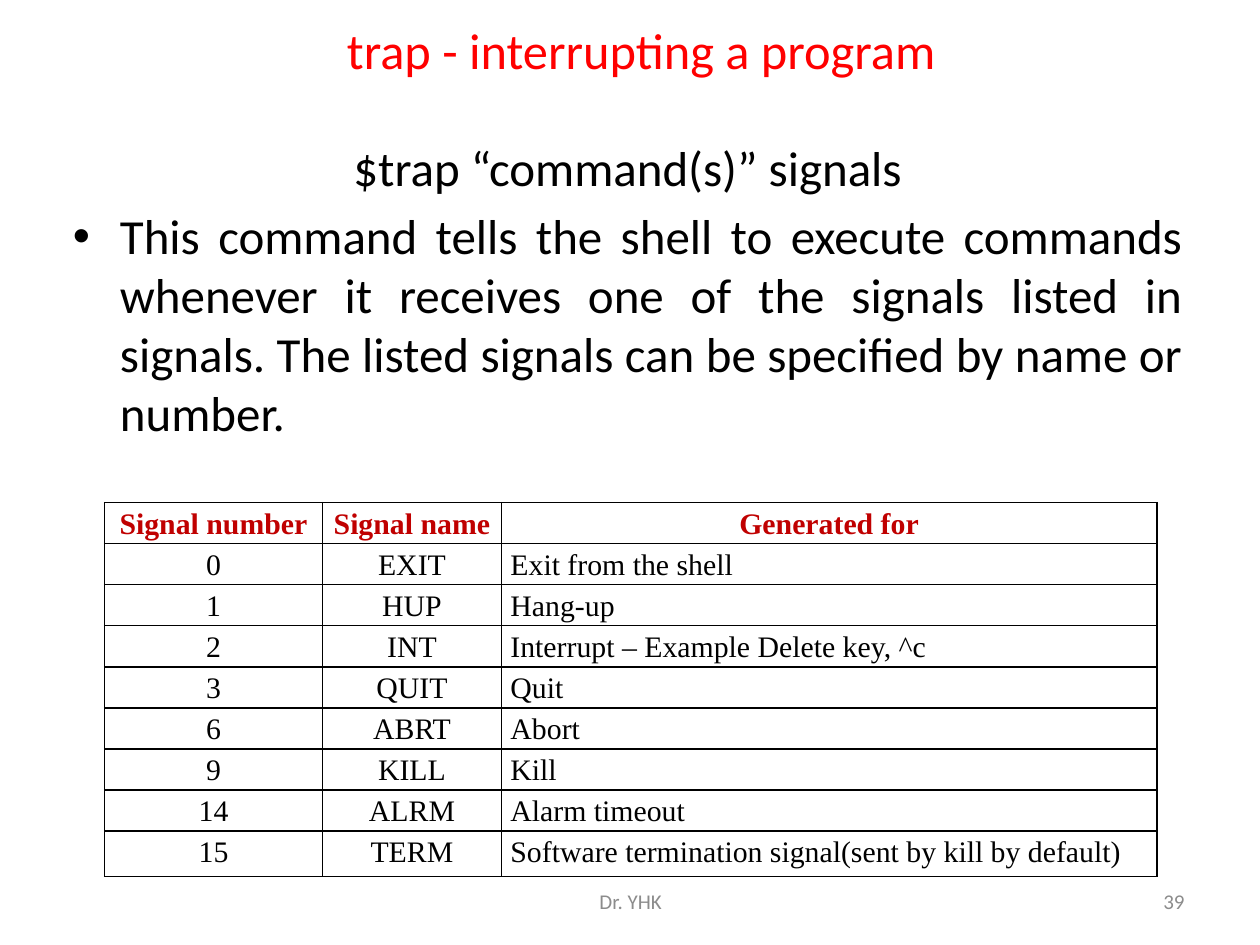
from lxml.etree import SubElement
from pptx import Presentation
from pptx.dml.color import RGBColor
from pptx.enum.text import MSO_ANCHOR, PP_ALIGN
from pptx.oxml.ns import qn
from pptx.util import Cm, Pt

RED = RGBColor(0xFF, 0, 0)
DARK_RED = RGBColor(0xC0, 0, 0)
BLACK = RGBColor(0, 0, 0)
GREY = RGBColor(0x8C, 0x8C, 0x8C)

# Content
TITLE = "trap - interrupting a program"
SYNTAX = "$trap “command(s)” signals"
EXPLANATION = ("This command tells the shell to execute commands whenever it receives "
               "one of the signals listed in signals. The listed signals can be "
               "specified by name or number.")
SIGNALS = [
    ("Signal number", "Signal name", "Generated for"),
    ("0", "EXIT", "Exit from the shell"),
    ("1", "HUP", "Hang-up"),
    ("2", "INT", "Interrupt – Example Delete key, ^c"),
    ("3", "QUIT", "Quit"),
    ("6", "ABRT", "Abort"),
    ("9", "KILL", "Kill"),
    ("14", "ALRM", "Alarm timeout"),
    ("15", "TERM", "Software termination signal(sent by kill by default)"),
]
COLUMN_WIDTHS = (4.39, 3.61, 13.21)
ROW_HEIGHT, LAST_ROW_HEIGHT = 0.69, 0.91

# Formats
TITLE_FONT = {"name": "Calibri", "size": Pt(28.8)}
BODY_FONT = {"name": "Calibri", "size": Pt(28)}
FOOTER_FONT = {"name": "Calibri", "size": Pt(12)}
HEADER_FONT = {"name": "Times New Roman", "size": Pt(17), "bold": True}
CELL_FONT = HEADER_FONT | {"bold": False}
CELL_MARGINS = {"margin_left": Cm(0.18), "margin_right": Cm(0.18),
                "margin_top": 0, "margin_bottom": 0}

# Text boxes: left, top, width, height in cm, anchor, font, colour, (text, alignment) lines
BOXES = [
    (1.5, 0.33, 22.86, 1.32, MSO_ANCHOR.MIDDLE, TITLE_FONT, RED,
     [(TITLE, PP_ALIGN.CENTER)]),
    (1.22, 2.64, 22.86, 16.03, MSO_ANCHOR.TOP, BODY_FONT, BLACK,
     [(SYNTAX, PP_ALIGN.CENTER), (EXPLANATION, PP_ALIGN.JUSTIFY)]),
    (8.69, 17.65, 8.05, 1.02, MSO_ANCHOR.MIDDLE, FOOTER_FONT, GREY,
     [("Dr. YHK", PP_ALIGN.CENTER)]),
    (18.21, 17.65, 5.92, 1.02, MSO_ANCHOR.MIDDLE, FOOTER_FONT, GREY,
     [("39", PP_ALIGN.RIGHT)]),
]


def set_all(target, values):
    for name, value in values.items():
        setattr(target, name, value)


def write(para, text, alignment, font, color):
    para.alignment = alignment
    span = para.add_run()
    span.text = text
    set_all(span.font, font)
    span.font.color.rgb = color


def add_bullet(para):
    properties = para._p.get_or_add_pPr()
    properties.set("marL", str(Cm(0.95)))
    properties.set("indent", str(-Cm(0.95)))
    SubElement(properties, qn("a:buFont"), typeface="Arial")
    SubElement(properties, qn("a:buChar"), char="•")


def add_borders(cell):
    properties = cell._tc.get_or_add_tcPr()
    for side in ("a:lnL", "a:lnR", "a:lnT", "a:lnB"):
        line = SubElement(properties, qn(side), w=str(Pt(1)))
        fill = SubElement(line, qn("a:solidFill"))
        SubElement(fill, qn("a:srgbClr"), val=str(BLACK))


deck = Presentation()
deck.slide_width, deck.slide_height = Cm(25.4), Cm(19.05)
page = deck.slides.add_slide(deck.slide_layouts[6])

# Title, body and footer
for left, top, width, height, anchor, font, color, lines in BOXES:
    frame = page.shapes.add_textbox(Cm(left), Cm(top), Cm(width), Cm(height)).text_frame
    frame.word_wrap = True
    frame.vertical_anchor = anchor
    for index, (text, alignment) in enumerate(lines):
        para = frame.add_paragraph() if index else frame.paragraphs[0]
        write(para, text, alignment, font, color)
        if font is BODY_FONT:
            para.space_before = Pt(5.6)
        if text == EXPLANATION:
            add_bullet(para)

# Signal table
heights = [ROW_HEIGHT] * (len(SIGNALS) - 1) + [LAST_ROW_HEIGHT]
table = page.shapes.add_table(len(SIGNALS), len(COLUMN_WIDTHS), Cm(2.11), Cm(10.13),
                              Cm(sum(COLUMN_WIDTHS)), Cm(sum(heights))).table
table.horz_banding = False
for column, width in zip(table.columns, COLUMN_WIDTHS):
    column.width = Cm(width)
for row_index, (row, height, texts) in enumerate(zip(table.rows, heights, SIGNALS)):
    row.height = Cm(height)
    is_header = row_index == 0
    for column_index, (cell, text) in enumerate(zip(row.cells, texts)):
        set_all(cell, CELL_MARGINS)
        add_borders(cell)
        cell.fill.background()
        centred = is_header or column_index < 2
        para = cell.text_frame.paragraphs[0]
        para.line_spacing = 1.15
        write(para, text, PP_ALIGN.CENTER if centred else PP_ALIGN.JUSTIFY,
              HEADER_FONT if is_header else CELL_FONT, DARK_RED if is_header else BLACK)

deck.save("out.pptx")
